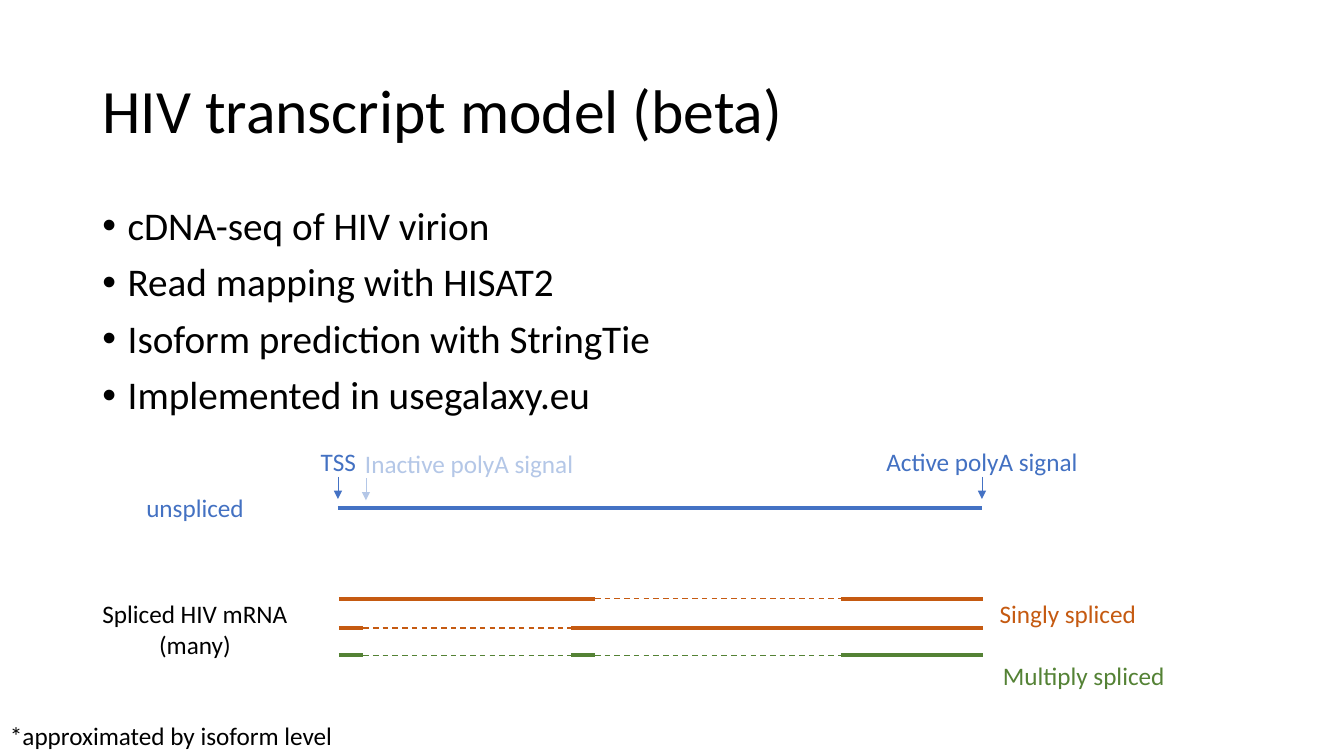
from pptx import Presentation
from pptx.util import Pt
from pptx.dml.color import RGBColor
from pptx.enum.dml import MSO_LINE
from pptx.enum.shapes import MSO_CONNECTOR as Link
from pptx.enum.text import MSO_ANCHOR as Anchor, MSO_AUTO_SIZE as Fit, PP_ALIGN as Align
from pptx.oxml.ns import qn
from lxml import etree

FONT = "Calibri"
HUES = {
    "black": "000000",
    "blue": "4472C4",
    "text blue": "4371C2",
    "pale": "B4C7E7",
    "orange": "C55A11",
    "green": "548235",
}


def place(shape, box):
    shape.left, shape.top, shape.width, shape.height = map(Pt, box)


def write(para, text, size, hue="black", align=Align.LEFT):
    para.alignment = align
    run = para.add_run()
    run.text = text
    run.font.name = FONT
    run.font.size = Pt(size)
    run.font.color.rgb = RGBColor.from_string(HUES[hue])


def label(slide, box, lines, hue="black"):
    """Add a text box from (text, alignment) pairs."""
    frame = slide.shapes.add_textbox(*map(Pt, box)).text_frame
    frame.word_wrap = False
    frame.auto_size = Fit.SHAPE_TO_FIT_TEXT
    for i, (text, align) in enumerate(lines):
        para = frame.add_paragraph() if i else frame.paragraphs[0]
        write(para, text, 18, hue, align)


def draw(slide, start, end, hue, width, dash=False, arrow=False):
    """Add a straight line between two points."""
    link = slide.shapes.add_connector(Link.STRAIGHT, *map(Pt, start + end))
    link.line.color.rgb = RGBColor.from_string(HUES[hue])
    link.line.width = Pt(width)
    if dash:
        link.line.dash_style = MSO_LINE.DASH
    if arrow:
        etree.SubElement(link.line._get_or_add_ln(), qn("a:tailEnd"), type="triangle")
    etree.SubElement(link._element.spPr, qn("a:effectLst"))


def add_title(slide, box, text):
    title = slide.shapes.title
    place(title, box)
    frame = title.text_frame
    frame.vertical_anchor = Anchor.MIDDLE
    para = frame.paragraphs[0]
    para.line_spacing = 0.9
    write(para, text, 44)


def add_list(slide, box, items):
    body = slide.placeholders[1]
    place(body, box)
    frame = body.text_frame
    for i, item in enumerate(items):
        para = frame.add_paragraph() if i else frame.paragraphs[0]
        props = para._p.get_or_add_pPr()
        props.set("marL", str(Pt(18)))
        props.set("indent", str(Pt(-18)))
        para.line_spacing = 0.9
        para.space_before = Pt(10 if i else 0)
        write(para, item, 28)


def add_full(slide, box):
    """Draw the unspliced transcript with its signals."""
    x, y, w, h = box
    base = y + h
    draw(slide, (x, base), (x + w, base), "blue", 3)
    label(slide, (x - 144, base - 14.5, 85, 29), [("unspliced", Align.LEFT)], "text blue")
    signals = [
        ("TSS", 0, 0, -19.5, 39.5, "text blue", "blue"),
        ("Active polyA signal", w, 0, -76.3, 152.6, "text blue", "blue"),
        ("Inactive polyA signal", 20, 1, -10.8, 169, "pale", "pale"),
    ]
    for text, shift, drop, lead, wide, ink, hue in signals:
        at, top = x + shift, y + drop
        label(slide, (at + lead, top, wide, 29), [(text, Align.CENTER)], ink)
        draw(slide, (at, top + 25.2), (at, top + 41), hue, 0.5, arrow=True)


def add_spliced(slide, box):
    """Draw the spliced transcripts: thick exons joined by dashed introns."""
    x, y, w, h = box
    ends = [0, 17.5, 166, 183, 359, w]
    rows = [
        (0, "orange", [0, 3, 4, 5]),
        (21, "orange", [0, 1, 2, 5]),
        (h, "green", [0, 1, 2, 3, 4, 5]),
    ]
    for drop, hue, stops in rows:
        for i, (a, b) in enumerate(zip(stops, stops[1:])):
            dash = i % 2 == 1
            draw(slide, (x + ends[a], y + drop), (x + ends[b], y + drop),
                 hue, 1 if dash else 3, dash)
    label(slide, (x - 176, y - 3.7, 148.5, 51),
          [("Spliced HIV mRNA", Align.LEFT), ("(many)", Align.CENTER)])
    label(slide, (x + w + 5, y - 3.7, 113, 29), [("Singly spliced", Align.LEFT)], "orange")
    label(slide, (x + w + 7.2, y + h, 132, 29), [("Multiply spliced", Align.LEFT)], "green")


def main():
    deck = Presentation()
    deck.slide_width, deck.slide_height = Pt(960), Pt(540)
    slide = deck.slides.add_slide(deck.slide_layouts[1])
    add_title(slide, (66, 28.8, 828, 104.4), "HIV transcript model (beta)")
    add_list(slide, (66, 144, 828, 342.7), [
        "cDNA-seq of HIV virion",
        "Read mapping with HISAT2",
        "Isoform prediction with StringTie",
        "Implemented in usegalaxy.eu",
    ])
    add_full(slide, (241.4, 315.4, 460, 47.5))
    add_spliced(slide, (242, 427.7, 460, 40.3))
    label(slide, (0, 511, 252, 29), [("*approximated by isoform level", Align.LEFT)])
    deck.save("out.pptx")


if __name__ == "__main__":
    main()
